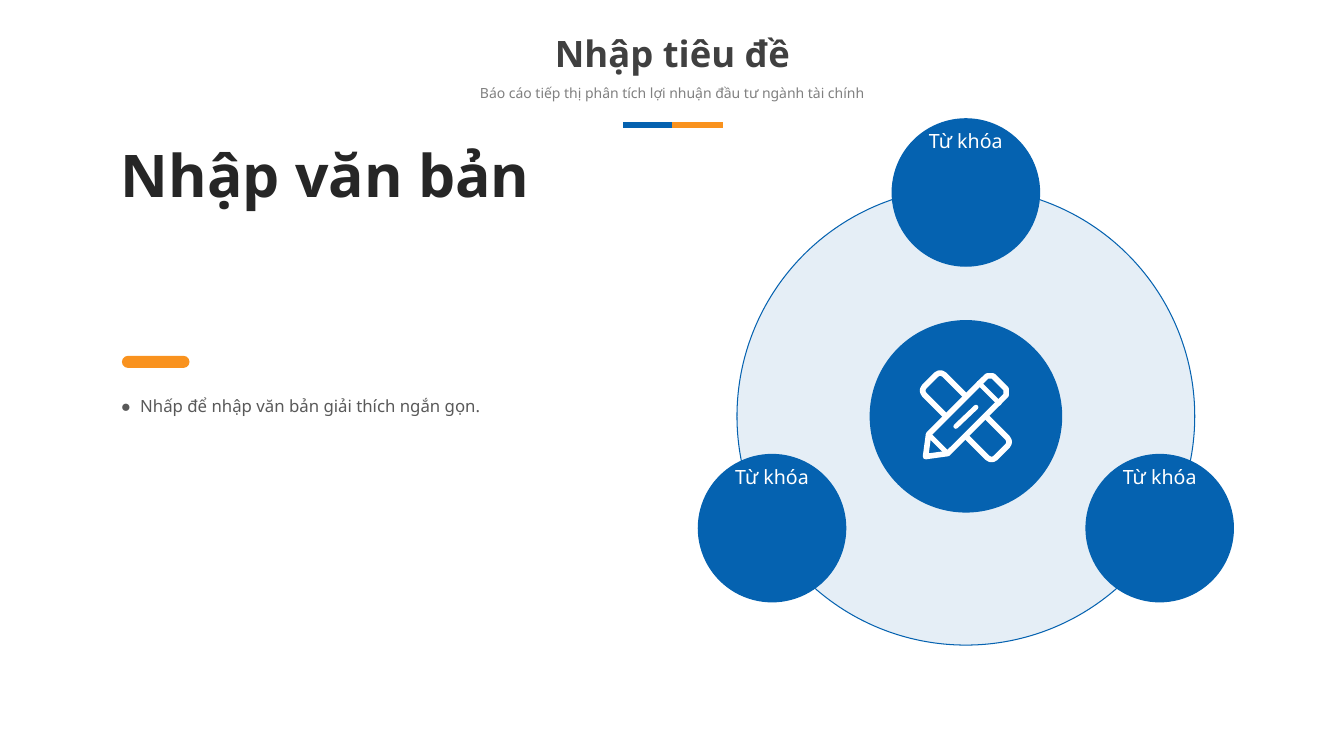
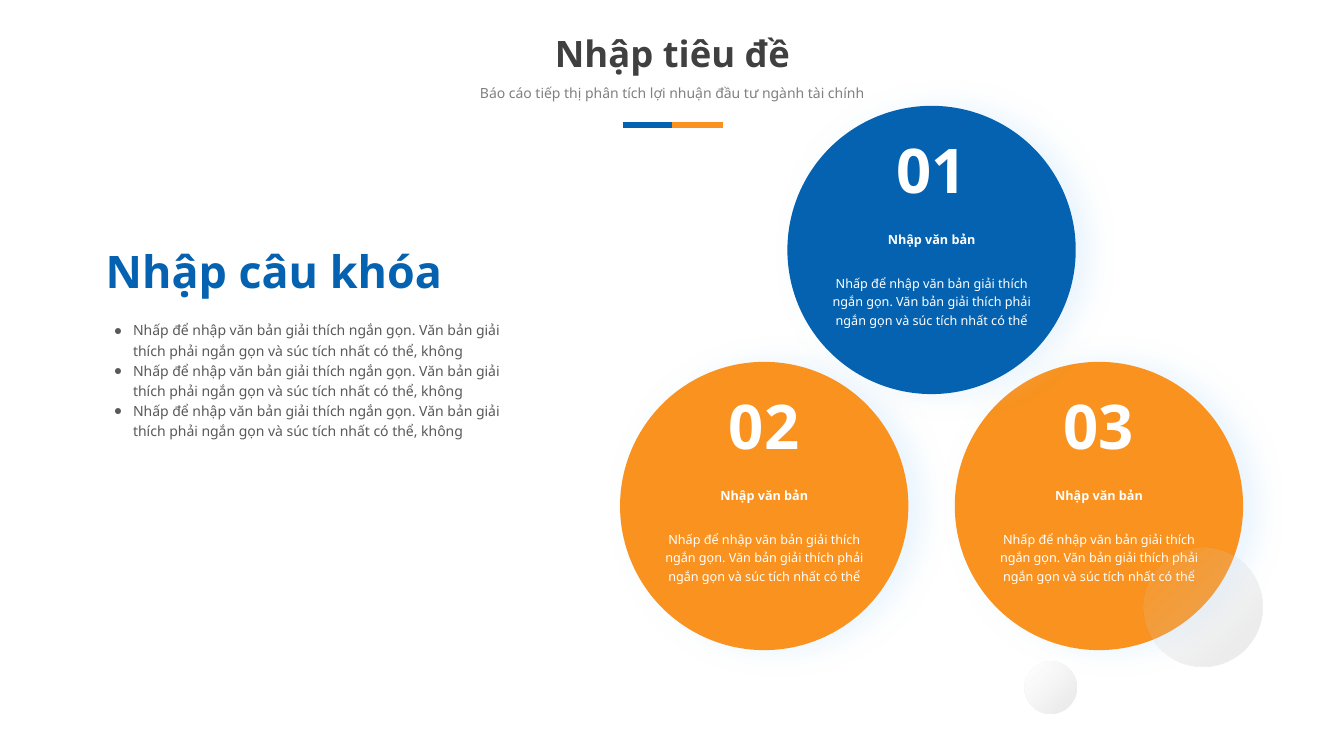
"""Build two slides about keywords with circle diagrams."""
from math import cos, radians, sin

from lxml.etree import SubElement
from pptx import Presentation
from pptx.dml.color import RGBColor
from pptx.enum.shapes import MSO_CONNECTOR, MSO_SHAPE
from pptx.enum.text import MSO_ANCHOR, MSO_AUTO_SIZE, PP_ALIGN
from pptx.oxml.ns import qn
from pptx.util import Inches, Pt

OVAL = MSO_SHAPE.OVAL
ROUND = MSO_SHAPE.ROUNDED_RECTANGLE
LINE = MSO_CONNECTOR.STRAIGHT
LEFT, MID = PP_ALIGN.LEFT, PP_ALIGN.CENTER
TOP = MSO_ANCHOR.TOP
FIXED = MSO_AUTO_SIZE.NONE

FONT = "Noto Sans"
COLORS = {
    "blue": "0562B0", "orange": "F9921E", "white": "FFFFFF",
    "ink": "262626", "title": "404040", "body": "595959",
    "muted": "808080", "glow": "BFE1FD",
}
FADE = [(0, "EDEDED", 0), (60, "C9C9C9", 25), (100, "A5A5A5", 30)]
NOTE = ("Nhấp để nhập văn bản giải thích ngắn gọn. "
        "Văn bản giải thích phải ngắn gọn và súc tích nhất có thể")


def rgb(name):
    return RGBColor.from_string(COLORS[name])


def tint(parent, color, alpha):
    node = SubElement(parent, qn("a:srgbClr"), val=color)
    SubElement(node, qn("a:alpha"), val=str(alpha * 1000))


def write(frame, text, size=12, color="body", bold=False, align=LEFT,
          space=1.0, mark=None, wrap=True):
    frame.word_wrap = wrap
    frame.auto_size = FIXED
    frame.vertical_anchor = TOP
    frame.text = text
    for para in frame.paragraphs:
        if mark:
            props = para._p.get_or_add_pPr()
            props.set("marL", str(Inches(0.19)))
            props.set("indent", str(Inches(-0.19)))
            SubElement(props, qn("a:buChar"), char=mark)
        para.alignment = align
        para.line_spacing = space
        para.space_before = Pt(0)
        para.font.name = FONT
        para.font.size = Pt(size)
        para.font.bold = bold
        para.font.color.rgb = rgb(color)


class Deck:
    def __init__(self):
        self.prs = Presentation()
        self.prs.slide_width = Inches(13.33)
        self.prs.slide_height = Inches(7.5)
        self.slide = None

    def place(self, item, left, top, width, height):
        item.left, item.top = Inches(left), Inches(top)
        item.width, item.height = Inches(width), Inches(height)

    def start(self):
        self.slide = self.prs.slides.add_slide(self.prs.slide_layouts[1])
        title = self.slide.shapes.title
        self.place(title, 5.39, 0.26, 2.56, 0.54)
        write(title.text_frame, "Nhập tiêu đề", size=26, color="title",
              bold=True, align=MID, wrap=False)
        self.text((3.62, 0.79, 6.09, 0.27),
                  "Báo cáo tiếp thị phân tích lợi nhuận đầu tư ngành tài chính",
                  size=10, color="muted", align=MID)
        self.line((6.18, 1.24), (6.68, 1.24), "blue", 4.5)
        self.line((6.67, 1.24), (7.17, 1.24), "orange", 4.5)

    def text(self, box, text, **style):
        item = self.slide.shapes.add_textbox(*map(Inches, box))
        write(item.text_frame, text, **style)

    def list(self, box, rows, size):
        body = self.slide.placeholders[1]
        self.place(body, *box)
        write(body.text_frame, "\n".join(rows), size=size, space=1.2, mark="●")

    def line(self, start, end, color, width, cap="flat"):
        item = self.slide.shapes.add_connector(
            LINE, *map(Inches, start + end))
        self.edge(item, color, width)
        item.line._get_or_add_ln().set("cap", cap)
        SubElement(item._element.spPr, qn("a:effectLst"))

    def edge(self, item, color, width):
        if color:
            item.line.color.rgb = rgb(color)
            item.line.width = Pt(width)
        else:
            item.line.fill.background()

    def paint(self, item, fill, line=None, width=0.75):
        item.shadow.inherit = False
        if fill:
            item.fill.solid()
            item.fill.fore_color.rgb = rgb(fill)
        else:
            item.fill.background()
        self.edge(item, line, width)

    def shape(self, kind, box, fill=None, line=None, width=0.75):
        item = self.slide.shapes.add_shape(kind, *map(Inches, box))
        self.paint(item, fill, line, width)
        return item

    def disc(self, x, y, size, fill=None, line=None, width=0.75):
        box = (x - size / 2, y - size / 2, size, size)
        return self.shape(OVAL, box, fill, line, width)

    def sheer(self, item, alpha):
        node = item._element.spPr.find(qn("a:solidFill")).find(qn("a:srgbClr"))
        SubElement(node, qn("a:alpha"), val=str(alpha * 1000))

    def glow(self, item):
        host = item._element.spPr.find(qn("a:effectLst"))
        node = SubElement(host, qn("a:outerShdw"), blurRad=str(Pt(20)),
                          dist=str(Pt(10)), dir="0", algn="l",
                          rotWithShape="0")
        tint(node, COLORS["glow"], 32)

    def bubble(self, x, y, size):
        item = self.disc(x, y, size)
        item.rotation = 285
        props = item._element.spPr
        old = props.find(qn("a:noFill"))
        fade = SubElement(props, qn("a:gradFill"), rotWithShape="1")
        stops = SubElement(fade, qn("a:gsLst"))
        for spot, color, alpha in FADE:
            stop = SubElement(stops, qn("a:gs"), pos=str(spot * 1000))
            tint(stop, color, alpha)
        SubElement(fade, qn("a:lin"), ang=str(120 * 60000), scaled="0")
        props.replace(old, fade)

    def tools(self, x, y):
        ruler = self.shape(ROUND, (x - 0.5, y - 0.14, 1, 0.28),
                           line="white", width=4)
        ruler.adjustments[0] = 0.2
        ruler.rotation = 45
        points = [(-0.4, 0.4), (-0.37, 0.18), (0.21, -0.4), (0.27, -0.4),
                  (0.4, -0.27), (0.4, -0.21), (-0.18, 0.37)]
        first, *rest = [(Inches(x + a), Inches(y + b)) for a, b in points]
        path = self.slide.shapes.build_freeform(*first)
        path.add_line_segments(rest, close=True)
        self.paint(path.convert_to_shape(), "blue", "white", 4)
        for a, b, c, d in [(-0.37, 0.18, -0.18, 0.37),
                           (0.13, -0.33, 0.33, -0.13),
                           (-0.1, 0.1, 0.1, -0.09)]:
            self.line((x + a, y + b), (x + c, y + d), "white", 3.5, "rnd")

    def orbit(self, x, y, reach):
        ring = self.disc(x, y, 4.54, "blue", "blue")
        self.sheer(ring, 10)
        for angle in (-90, 30, 150):
            a = x + reach * cos(radians(angle))
            b = y + reach * sin(radians(angle))
            self.disc(a, b, 1.46, "blue", "blue", 1)
            self.text((a - 0.73, b - 0.68, 1.46, 0.37), "Từ khóa", size=14,
                      color="white", align=MID)
        self.disc(x, y, 1.91, "blue")
        self.tools(x, y)

    def card(self, x, y, label, fill):
        self.glow(self.disc(x, y, 2.86, fill))
        self.text((x - 1.1, y + 0.18, 2.2, 0.63), NOTE, size=9,
                  color="white", align=MID, space=1.2)
        for top, high, text, size in [(-0.23, 0.25, "Nhập văn bản", 9),
                                      (-1.22, 0.84, label, 44)]:
            self.text((x - 0.98, y + top, 1.96, high), text, size=size,
                      color="white", bold=True, align=MID)


def main():
    deck = Deck()

    deck.start()
    deck.text((1.1, 1.33, 4.34, 2.07), "Nhập văn bản", size=42,
              color="ink", bold=True)
    deck.list((1.1, 3.84, 4.51, 0.62),
              ["Nhấp để nhập văn bản giải thích ngắn gọn."], 12)
    dash = deck.shape(ROUND, (1.21, 3.53, 0.67, 0.12), "orange")
    dash.adjustments[0] = 0.5
    deck.orbit(9.58, 4.13, 2.22)

    deck.start()
    deck.text((0.95, 2.37, 4.34, 0.63), "Nhập câu khóa", size=32,
              color="blue", bold=True)
    deck.list((1.03, 3.11, 4.31, 1.53), [NOTE + ", không"] * 3, 10)
    deck.card(7.58, 5.02, "02", "orange")
    deck.card(10.9, 5.02, "03", "orange")
    deck.card(9.24, 2.48, "01", "blue")
    deck.bubble(11.93, 6.02, 1.18)
    deck.bubble(10.42, 6.82, 0.52)

    deck.prs.save("out.pptx")


if __name__ == "__main__":
    main()
